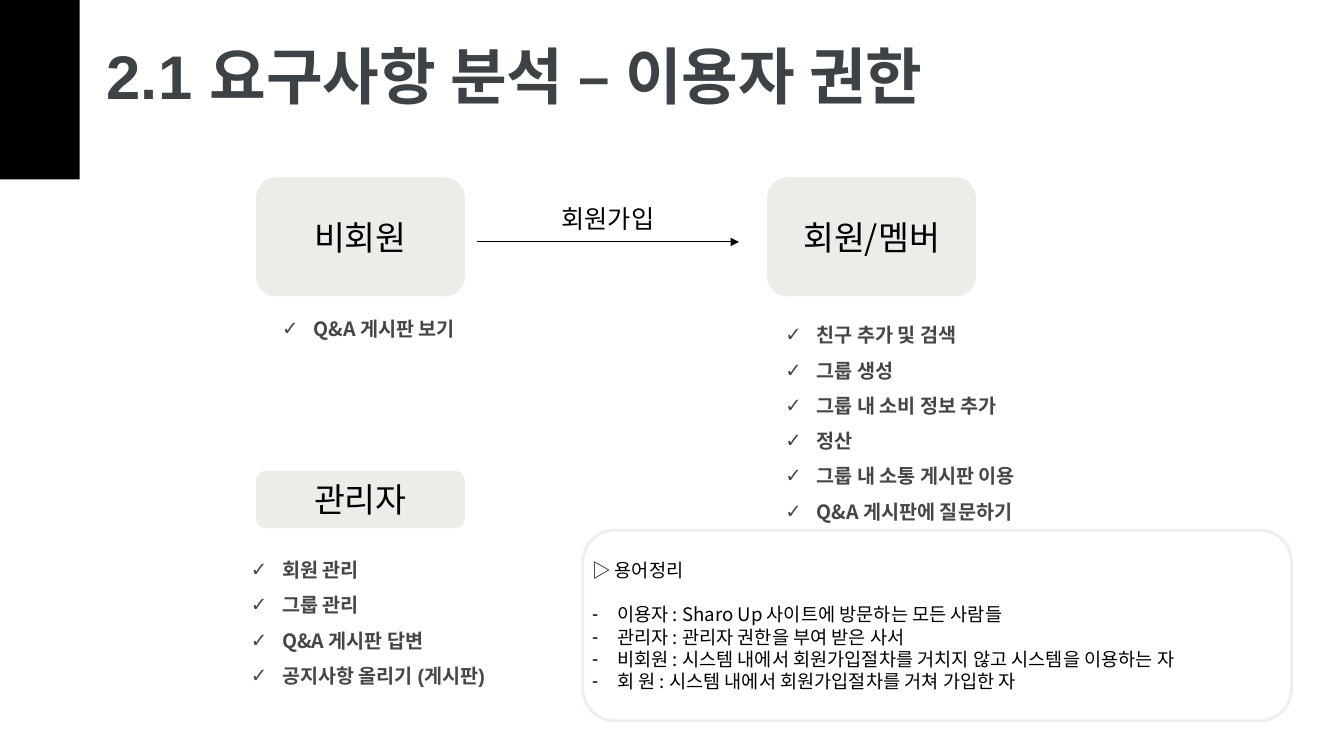
from dataclasses import dataclass

from lxml import etree
from pptx import Presentation
from pptx import util as u
from pptx.dml.color import RGBColor
from pptx.enum import shapes, text
from pptx.oxml.ns import qn

COLORS = {
    "black": "000000",
    "title": "3C4245",
    "item": "464646",
    "role": "EEECE9",
    "border": "ECEFF0",
}
KOREAN = "Noto Sans CJK KR"
LATIN = "Arial"


@dataclass
class Box:
    left: float
    top: float
    width: float
    height: float

    def emu(self) -> list:
        return [u.Inches(v) for v in (self.left, self.top, self.width, self.height)]


@dataclass
class Role:
    name: str
    box: Box
    rights_box: Box
    rights: list[str]


ROLES = [
    Role("비회원", Box(2.54, 1.76, 2.07, 1.18), Box(2.39, 2.98, 2.24, 0.76),
         ["Q&A 게시판 보기"]),
    Role("회원/멤버", Box(7.61, 1.76, 2.07, 1.18), Box(7.38, 3.04, 3.14, 2.22),
         ["친구 추가 및 검색", "그룹 생성", "그룹 내 소비 정보 추가", "정산",
          "그룹 내 소통 게시판 이용", "Q&A 게시판에 질문하기"]),
    Role("관리자", Box(2.54, 4.67, 2.07, 0.57), Box(2.08, 5.37, 3.17, 1.51),
         ["회원 관리", "그룹 관리", "Q&A 게시판 답변", "공지사항 올리기 (게시판)"]),
]
TERMS = [
    "이용자 : Sharo Up 사이트에 방문하는 모든 사람들",
    "관리자 : 관리자 권한을 부여 받은 사서",
    "비회원 : 시스템 내에서 회원가입절차를 거치지 않고 시스템을 이용하는 자",
    "회 원 : 시스템 내에서 회원가입절차를 거쳐 가입한 자",
]


def rgb(name: str) -> RGBColor:
    return RGBColor.from_string(COLORS[name])


def add_run(p, words: str, size: float, color: str = "black",
            bold: bool = False, font: str = KOREAN) -> None:
    r = p.add_run()
    r.text = words
    r.font.size = u.Pt(size)
    r.font.bold = bold
    r.font.color.rgb = rgb(color)
    r.font.name = font
    etree.SubElement(r._r.get_or_add_rPr(), qn("a:ea"), typeface=KOREAN)


def set_bullet(p, char: str, indent: float, hang: float) -> None:
    pPr = p._p.get_or_add_pPr()
    pPr.set("marL", str(u.Inches(indent)))
    pPr.set("indent", str(-u.Inches(hang)))
    etree.SubElement(pPr, qn("a:buFont"), typeface=LATIN)
    etree.SubElement(pPr, qn("a:buChar"), char=char)


def next_paragraph(tf, index: int):
    return tf.add_paragraph() if index else tf.paragraphs[0]


def add_panel(slide, kind, box: Box, fill: str = "", line: str = ""):
    sp = slide.shapes.add_shape(kind, *box.emu())
    sp.shadow.inherit = False
    if fill:
        sp.fill.solid()
        sp.fill.fore_color.rgb = rgb(fill)
    else:
        sp.fill.background()
    if line:
        sp.line.color.rgb = rgb(line)
        sp.line.width = u.Pt(2)
    else:
        sp.line.fill.background()
    tf = sp.text_frame
    tf.word_wrap = True
    tf.vertical_anchor = text.MSO_ANCHOR.MIDDLE
    return tf


def add_text(slide, box: Box):
    tf = slide.shapes.add_textbox(*box.emu()).text_frame
    tf.word_wrap = True
    tf.auto_size = text.MSO_AUTO_SIZE.SHAPE_TO_FIT_TEXT
    return tf


def add_role(slide, role: Role) -> None:
    p = add_panel(slide, shapes.MSO_SHAPE.ROUNDED_RECTANGLE, role.box, "role").paragraphs[0]
    p.alignment = text.PP_ALIGN.CENTER
    add_run(p, role.name, 24)
    tf = add_text(slide, role.rights_box)
    for i, right in enumerate(role.rights):
        p = next_paragraph(tf, i)
        p.line_spacing = 1.5
        set_bullet(p, "✓", 0.62, 0.31)
        add_run(p, right, 14, "item", True, LATIN if "(" in right else KOREAN)


def add_terms(slide, box: Box) -> None:
    tf = add_panel(slide, shapes.MSO_SHAPE.ROUNDED_RECTANGLE, box, line="border")
    tf.margin_left = tf.margin_top = tf.margin_right = tf.margin_bottom = 0
    for i, words in enumerate(["▷ 용어정리", *TERMS]):
        p = next_paragraph(tf, i)
        p.alignment = text.PP_ALIGN.LEFT
        if i == 1:
            p.space_before = u.Pt(16)
        if i:
            set_bullet(p, "-", 0.25, 0.25)
        add_run(p, words, 13.3)


def add_arrow(slide, x1: float, x2: float, y: float) -> None:
    cx = slide.shapes.add_connector(
        shapes.MSO_CONNECTOR.STRAIGHT, *(u.Inches(v) for v in (x1, y, x2, y)))
    cx.line.color.rgb = rgb("black")
    cx.line.width = u.Pt(0.75)
    etree.SubElement(cx.line._get_or_add_ln(), qn("a:tailEnd"), type="triangle")
    etree.SubElement(cx._element.spPr, qn("a:effectLst"))


def main() -> None:
    prs = Presentation()
    prs.slide_width, prs.slide_height = u.Inches(13.33), u.Inches(7.5)
    slide = prs.slides.add_slide(prs.slide_layouts[6])

    # Glossary
    add_terms(slide, Box(5.78, 5.26, 7.03, 1.89))

    # Roles and their rights
    for role in ROLES:
        add_role(slide, role)

    # Sign-up step
    add_arrow(slide, 4.73, 7.33, 2.4)
    p = add_text(slide, Box(5.26, 1.97, 1.54, 0.4)).paragraphs[0]
    p.alignment = text.PP_ALIGN.CENTER
    add_run(p, "회원가입", 18)

    # Title and corner block
    p = add_text(slide, Box(0.96, 0.33, 10.59, 0.84)).paragraphs[0]
    add_run(p, "2.1 요구사항 분석 – 이용자 권한", 44, "title", True, LATIN)
    add_panel(slide, shapes.MSO_SHAPE.RECTANGLE, Box(0, 0, 0.79, 1.78), "black")

    prs.save("out.pptx")


if __name__ == "__main__":
    main()
